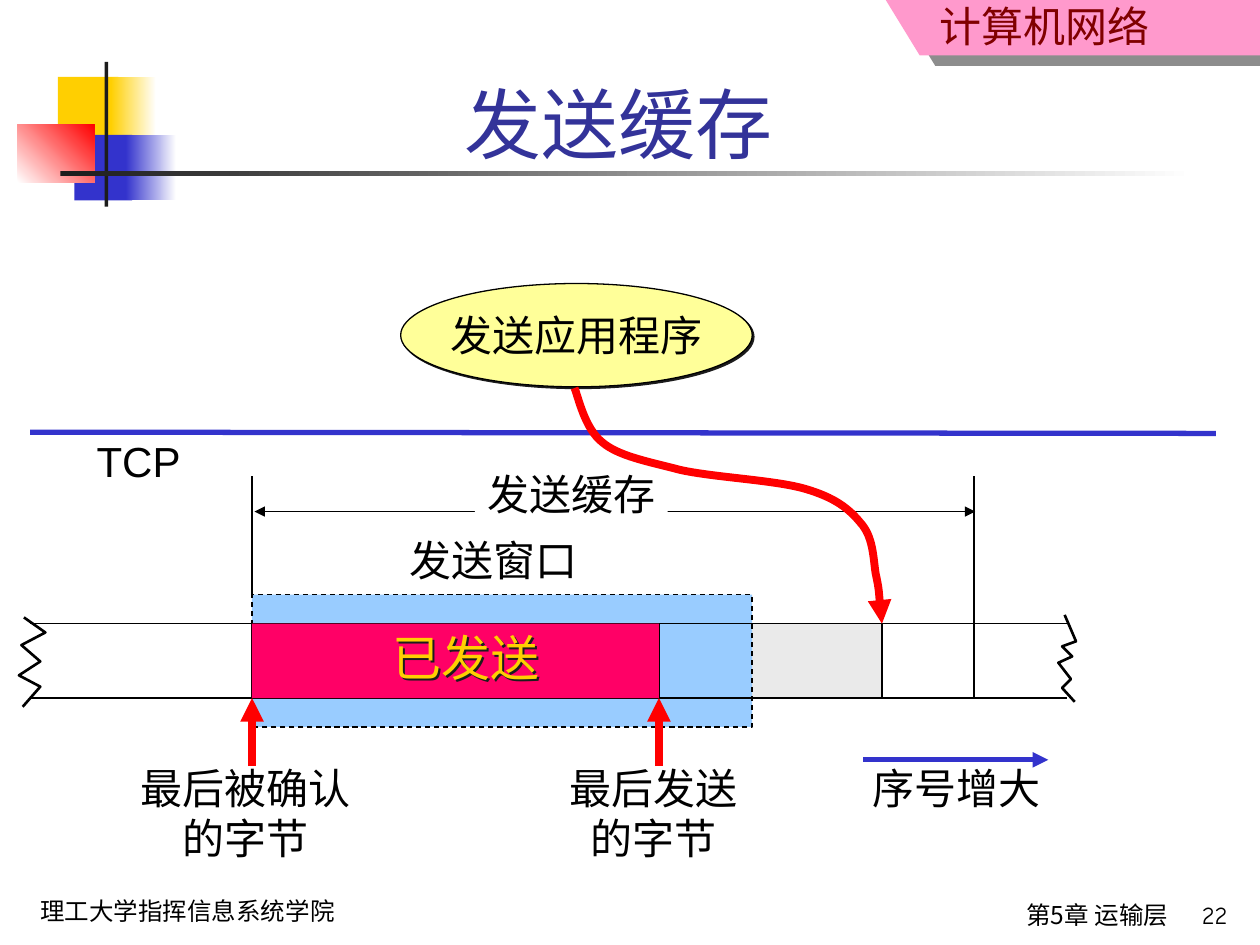
from typing import NamedTuple

from lxml import etree
from pptx import Presentation
from pptx import util as u
from pptx.dml.color import RGBColor
from pptx.enum import dml, shapes, text
from pptx.oxml.ns import qn

# Grid of 100 columns by 75 rows; every length below counts cells
CELL = u.Inches(0.1)
BLACK, INK, RED, BLUE, YELLOW = "000000", "1C1C1C", "FF0000", "3333CC", "FFCF01"
CJK_FONT = "Noto Sans CJK SC"
LEFT, CENTER, RIGHT = text.PP_ALIGN.LEFT, text.PP_ALIGN.CENTER, text.PP_ALIGN.RIGHT
TOP, MIDDLE, BOTTOM = text.MSO_ANCHOR.TOP, text.MSO_ANCHOR.MIDDLE, text.MSO_ANCHOR.BOTTOM


class Box(NamedTuple):
    left: float
    top: float
    width: float
    height: float


class Line(NamedTuple):
    x1: float
    y1: float
    x2: float
    y2: float
    color: str = BLACK
    width: float = 0.75
    head: bool = False
    tail: bool = False


class Label(NamedTuple):
    box: Box
    words: str
    align: text.PP_ALIGN = CENTER


def cells(values) -> list:
    return [u.Emu(round(value * CELL)) for value in values]


def rgb(color: str) -> RGBColor:
    return RGBColor.from_string(color)


def set_shadow(shape, color: str, alpha: int, distance: float, angle: int):
    shape.shadow.inherit = False
    effects = shape.element.spPr.find(qn("a:effectLst"))
    shadow = etree.SubElement(effects, qn("a:outerShdw"), dist=str(u.Pt(distance)),
                              dir=str(angle * 60000), algn="tl", rotWithShape="0")
    tint = etree.SubElement(shadow, qn("a:srgbClr"), val=color)
    etree.SubElement(tint, qn("a:alpha"), val=str(alpha * 1000))


def style(shape, fill=None, line=None, width=0.75, dash=False, shadow=None):
    """fill is one colour, or (from colour, to colour, angle) for a gradient."""
    if fill is None:
        shape.fill.background()
    elif isinstance(fill, str):
        shape.fill.solid()
        shape.fill.fore_color.rgb = rgb(fill)
    else:
        shape.fill.gradient()
        shape.fill.gradient_angle = fill[2]
        for stop, color in zip(shape.fill.gradient_stops, fill):
            stop.color.rgb = rgb(color)
    if line:
        shape.line.color.rgb = rgb(line)
        shape.line.width = u.Pt(width)
        if dash:
            shape.line.dash_style = dml.MSO_LINE.DASH
    else:
        shape.line.fill.background()
    shape.shadow.inherit = False
    if shadow:
        set_shadow(shape, *shadow)


def add_shape(slide, box: Box, kind=shapes.MSO_SHAPE.RECTANGLE, **look):
    shape = slide.shapes.add_shape(kind, *cells(box))
    style(shape, **look)
    return shape


def add_arrowheads(shape, head: bool, tail: bool):
    outline = shape.element.spPr.find(qn("a:ln"))
    for name, wanted in (("a:headEnd", head), ("a:tailEnd", tail)):
        if wanted:
            etree.SubElement(outline, qn(name), type="triangle")


def add_line(slide, line: Line):
    connector = slide.shapes.add_connector(shapes.MSO_CONNECTOR.STRAIGHT, *cells(line[:4]))
    connector.line.color.rgb = rgb(line.color)
    connector.line.width = u.Pt(line.width)
    add_arrowheads(connector, line.head, line.tail)
    etree.SubElement(connector.element.spPr, qn("a:effectLst"))


def add_outline(slide, points, close=False, **look):
    start, *rest = [cells(point) for point in points]
    builder = slide.shapes.build_freeform(*start)
    builder.add_line_segments(rest, close=close)
    shape = builder.convert_to_shape()
    style(shape, **look)
    return shape


def add_curve(slide, points, **look):
    """Turn each three points after the first into one Bezier segment."""
    shape = add_outline(slide, points, **look)
    steps = list(shape.element.iter(qn("a:lnTo")))
    for first in range(0, len(steps), 3):
        bezier = etree.Element(qn("a:cubicBezTo"))
        steps[first].addprevious(bezier)
        for step in steps[first:first + 3]:
            bezier.append(step[0])
            step.getparent().remove(step)
    add_arrowheads(shape, False, True)


def write(shape, words, size=24, color=BLACK, font="Arial", align=CENTER,
          anchor=TOP, wrap=False, fit=False, top_inset=0.05):
    frame = shape.text_frame
    frame.word_wrap = wrap
    if fit:
        frame.auto_size = text.MSO_AUTO_SIZE.SHAPE_TO_FIT_TEXT
    frame.vertical_anchor = anchor
    frame.margin_left = frame.margin_right = u.Inches(0.1)
    frame.margin_top, frame.margin_bottom = u.Inches(top_inset), u.Inches(0.05)
    frame.text = words
    for paragraph in frame.paragraphs:
        paragraph.alignment = align
        for run in paragraph.runs:
            run.font.size = u.Pt(size)
            run.font.color.rgb = rgb(color)
            run.font.name = font
            etree.SubElement(run.font._element, qn("a:ea"), typeface=CJK_FONT)


def add_text(slide, box: Box, words: str, **form):
    shape = slide.shapes.add_textbox(*cells(box))
    write(shape, words, **form)
    return shape


def draw_frame(slide):
    # Corner banner
    add_outline(slide, [(70.3, 0), (73, 4.4), (100, 4.4), (100, 0)], close=True,
                fill="FF99CC", shadow=(INK, 50, 10.8, 34))
    add_text(slide, Box(58.2, 0, 34, 4.5), "计算机网络", color="800000",
             font=CJK_FONT, align=RIGHT, wrap=True, top_inset=0)
    # Overlapping squares and rules beside the title
    for box, fill in (
        (Box(4.6, 6.1, 4.8, 5.2), YELLOW),
        (Box(8.8, 6.1, 3.6, 5.2), (YELLOW, "FFFFFF", 0)),
        (Box(5.9, 10.7, 4.6, 5.2), BLUE),
        (Box(10, 10.7, 4, 5.2), (BLUE, "FFFFFF", 0)),
        (Box(1.4, 9.9, 6.1, 4.6), ("FFFFFF", RED, 45)),
        (Box(8.3, 4.9, 0.3, 11.5), INK),
        (Box(4.8, 13.6, 90, 0.4), (INK, "FFFFFF", 0)),
    ):
        add_shape(slide, box, fill=fill)
    # Footer and title
    add_text(slide, Box(2.2, 70.6, 31.1, 3.4), "理工大学指挥信息系统学院", size=14,
             font="Comic Neue", align=LEFT, wrap=True)
    add_text(slide, Box(42.9, 70.9, 50.8, 4.1), "第5章 运输层", size=14,
             font=CJK_FONT, align=RIGHT, wrap=True)
    add_text(slide, Box(90.5, 70.9, 7.9, 3.8), "22", size=14, font="Comic Neue",
             align=RIGHT, wrap=True)
    add_text(slide, Box(11.9, 2.4, 74.4, 11.5), "发送缓存", size=44, color="333399",
             anchor=BOTTOM, wrap=True)


def draw_buffer(slide):
    # Byte positions along the band, and the band's edges
    acked, sent, window_end, written, buffer_end = 20, 52.3, 59.7, 70, 77.3
    top, bottom = 49.5, 55.4
    height = bottom - top

    add_line(slide, Line(20.2, 40.6, 77.4, 40.6, head=True, tail=True))
    add_shape(slide, Box(sent, top, written - sent, height), fill="EAEAEA")
    application = add_shape(slide, Box(31.8, 22.5, 27.9, 8.2), shapes.MSO_SHAPE.OVAL,
                            fill="FFFF99", line=BLACK, shadow=(INK, 100, 1.4, 45))
    write(application, "发送应用程序", anchor=MIDDLE)
    add_line(slide, Line(2.4, 34.3, 96.5, 34.4, BLUE, 3))

    # Send window, band edges and dividers
    add_shape(slide, Box(acked, 47.2, window_end - acked, 10.5), fill="99CCFF",
              line=BLACK, dash=True)
    for y in (top, bottom):
        add_line(slide, Line(2.4, y, 84.7, y))
    for x in (acked, sent, written):
        add_line(slide, Line(x, top, x, bottom))
    buffer_label = add_shape(slide, Box(37.7, 36.7, 15.3, 5), fill="FFFFFF")
    write(buffer_label, "发送缓存", align=LEFT)

    # Sent bytes
    add_shape(slide, Box(acked, top, sent - acked, height), fill="FF0066")
    sent_label = add_text(slide, Box(30, 49.3, 14, 5.7), "已发送", size=28,
                          color=YELLOW, fit=True)
    set_shadow(sent_label, INK, 100, 1.4, 45)

    # Pointers and buffer limits
    for x in (acked, sent):
        add_line(slide, Line(x, 60.8, x, bottom, RED, 4.5, tail=True))
    add_line(slide, Line(acked, 37.8, acked, 47.2))
    add_line(slide, Line(buffer_end, 37.8, buffer_end, bottom))
    add_curve(slide, [
        (45.6, 30.8), (45.9, 31.5), (46.4, 34), (47.8, 35.1),
        (49.1, 36.2), (51.3, 36.6), (54, 37.3), (56.7, 37.9), (61.5, 38.1), (63.9, 38.8),
        (66.3, 39.5), (67.4, 40.4), (68.3, 41.5), (69.3, 42.6), (69.3, 44.2), (69.5, 45.5),
        (69.8, 46.9), (69.9, 48.7), (written, top)], line=RED, width=4.5)

    # Torn ends of the band
    for points in (
        [(84.5, 48.8), (85.4, 50.9), (84.3, 51.3), (85.1, 52.1),
         (84, 52.6), (85, 53.9), (84.3, 54.6), (85.3, 55.7)],
        [(1.9, 49), (3.6, 50.2), (1.7, 51.2), (3.2, 52.5),
         (1.5, 53.6), (3.2, 54.5), (1.8, 56.1)],
    ):
        add_outline(slide, points, line=BLACK, width=1.5)
    add_line(slide, Line(68.5, 60.3, 83.2, 60.3, BLUE, 3, tail=True))

    for label in (
        Label(Box(10, 60, 19, 9), "最后被确认\n的字节"),
        Label(Box(44.2, 60, 15.3, 9), "最后发送\n的字节"),
        Label(Box(31.5, 41.9, 15.3, 5), "发送窗口", LEFT),
        Label(Box(6.5, 34.1, 9, 5), "TCP"),
        Label(Box(68.3, 60, 15.3, 5), "序号增大"),
    ):
        add_text(slide, label.box, label.words, align=label.align, fit=True)


def main():
    presentation = Presentation()
    presentation.slide_width, presentation.slide_height = cells((100, 75))
    slide = presentation.slides.add_slide(presentation.slide_layouts[6])
    draw_frame(slide)
    draw_buffer(slide)
    presentation.save("out.pptx")


if __name__ == "__main__":
    main()
